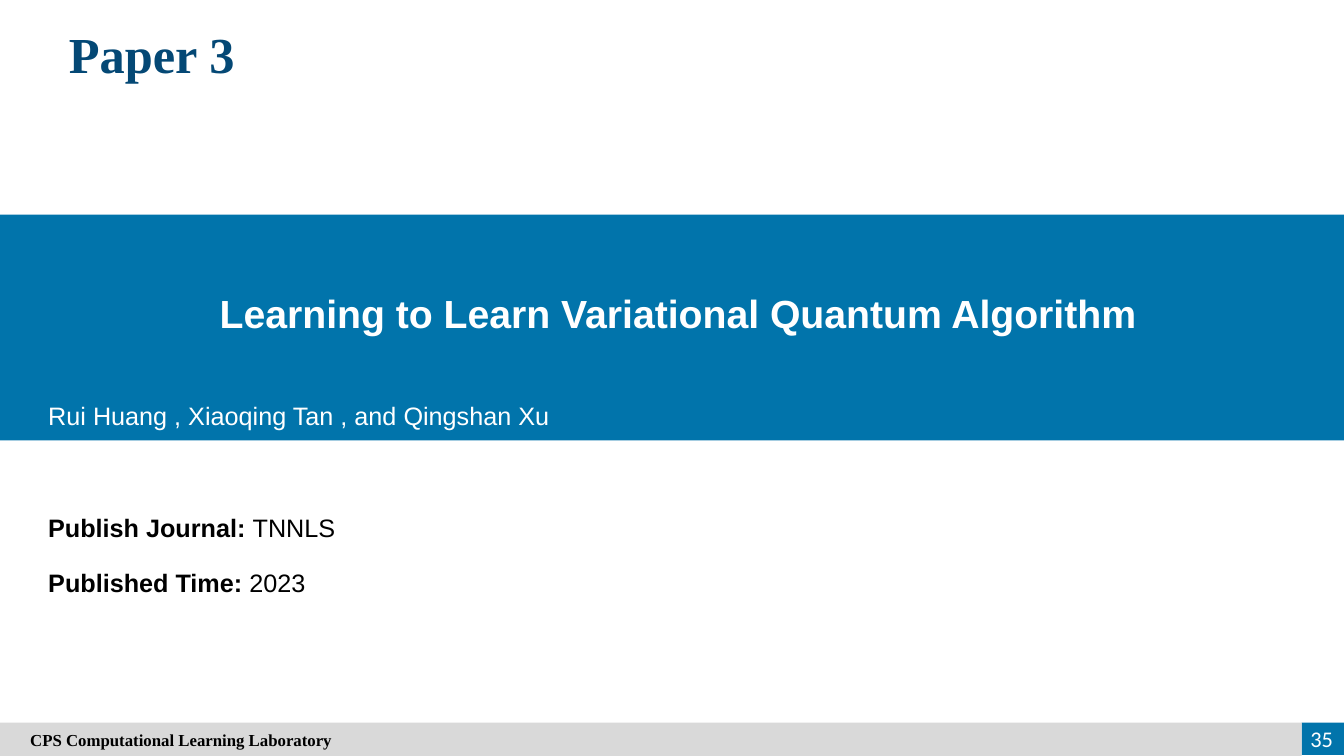
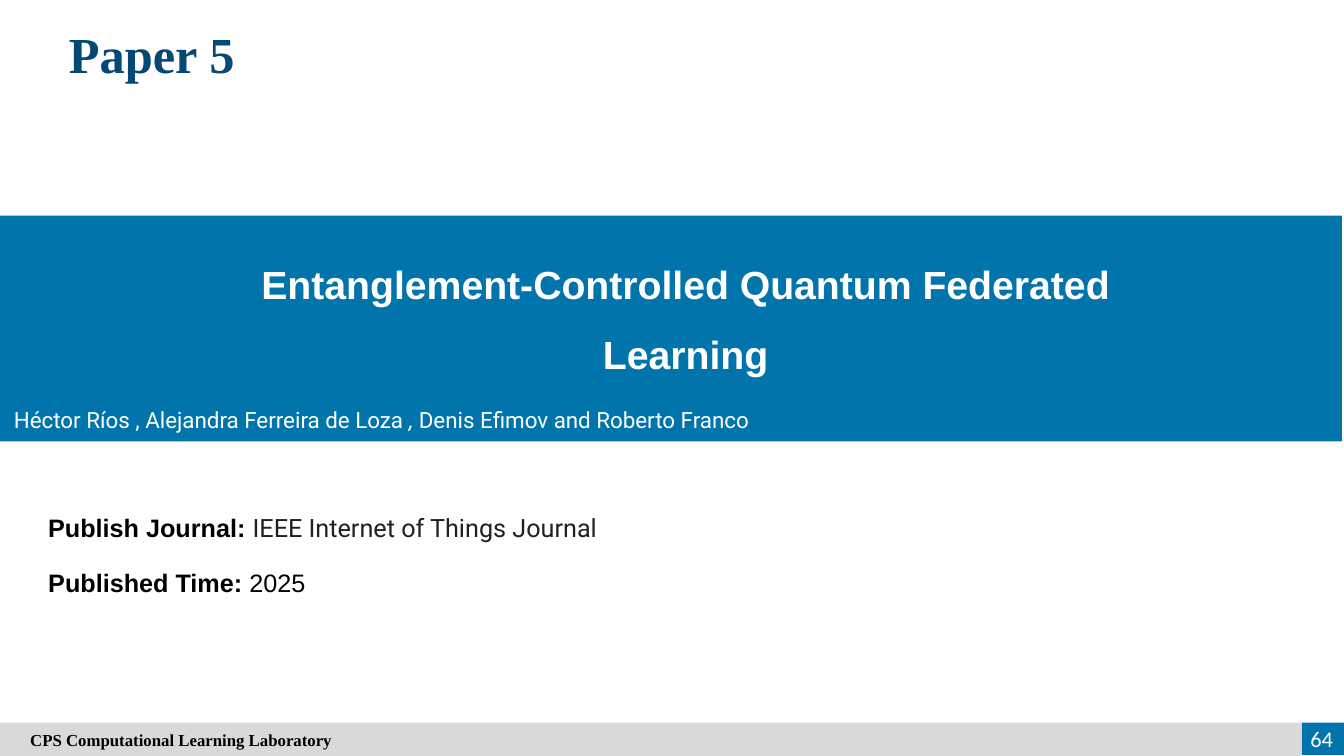
"""Build two paper title slides with a shared banner, heading and footer."""

from dataclasses import dataclass
from typing import Optional

import pptx
import pptx.dml.color
import pptx.enum.shapes
import pptx.enum.text
import pptx.util

Inches = pptx.util.Inches
Align = pptx.enum.text.PP_ALIGN
Anchor = pptx.enum.text.MSO_ANCHOR

BLUE, NAVY, GREY = "0174AB", "044875", "D9D9D9"
WHITE, BLACK, INK = "FFFFFF", "000000", "231F20"


@dataclass(frozen=True)
class Box:
    left: float
    top: float
    width: float
    height: float


@dataclass(frozen=True)
class Style:
    size: int
    font: str = "Arial"
    color: str = BLACK
    bold: bool = False
    italic: Optional[bool] = None


@dataclass(frozen=True)
class Span:
    text: str
    style: Style


@dataclass(frozen=True)
class Paper:
    heading: str
    page: str
    banner: Box
    title_box: Box
    title: list[str]
    authors_box: Box
    authors: list[Span]
    journal: Span
    year: str


HEADING = Style(36, "Times New Roman", NAVY, bold=True)
TITLE = Style(28, color=WHITE, bold=True)
FOOTER = Style(12, "Times New Roman", bold=True)
PAGE = Style(16, "Calibri", WHITE)
LABEL = Style(18, bold=True)
VALUE = Style(18)
AUTHOR = Style(18, color=WHITE)
AUTHOR_ROBOTO = Style(16, "Roboto", WHITE)
AUTHOR_ITALIC = Style(16, "Roboto", WHITE, italic=True)

PAPERS = [
    Paper(
        heading="Paper 3",
        page="35",
        banner=Box(-0.02, 2.13, 13.39, 2.24),
        title_box=Box(0.31, 2.63, 12.83, 0.72),
        title=["Learning to Learn Variational Quantum Algorithm"],
        authors_box=Box(0.38, 3.92, 6.69, 0.4),
        authors=[Span("Rui Huang , Xiaoqing Tan , and Qingshan Xu", AUTHOR)],
        journal=Span("TNNLS", VALUE),
        year="2023",
    ),
    Paper(
        heading="Paper 5",
        page="64",
        banner=Box(0, 2.14, 13.31, 2.24),
        title_box=Box(0.81, 2.33, 11.98, 1.43),
        title=["Entanglement-Controlled Quantum Federated", "Learning"],
        authors_box=Box(0.04, 3.98, 9.33, 0.37),
        authors=[
            Span("Héctor Ríos , Alejandra Ferreira de Loza ", AUTHOR_ROBOTO),
            Span(", ", AUTHOR_ITALIC),
            Span("Denis Efimov and Roberto Franco", AUTHOR_ROBOTO),
        ],
        journal=Span("IEEE Internet of Things Journal", Style(18, "Roboto", INK)),
        year="2025",
    ),
]


def rgb(color: str) -> pptx.dml.color.RGBColor:
    return pptx.dml.color.RGBColor.from_string(color)


def place(box: Box) -> list[int]:
    return [Inches(length) for length in (box.left, box.top, box.width, box.height)]


def write(text_frame, lines: list[list[Span]], align=Align.LEFT, anchor=Anchor.TOP,
          spacing: float = 1.0) -> None:
    text_frame.word_wrap = True
    text_frame.vertical_anchor = anchor
    for index, spans in enumerate(lines):
        paragraph = text_frame.add_paragraph() if index else text_frame.paragraphs[0]
        paragraph.alignment = align
        paragraph.line_spacing = spacing
        for span in spans:
            run = paragraph.add_run()
            run.text = span.text
            run.font.size = pptx.util.Pt(span.style.size)
            run.font.name = span.style.font
            run.font.bold = span.style.bold
            run.font.italic = span.style.italic
            run.font.color.rgb = rgb(span.style.color)


def add_text(slide, box: Box, lines: list[list[Span]], **layout) -> None:
    write(slide.shapes.add_textbox(*place(box)).text_frame, lines, **layout)


def add_band(slide, box: Box, color: str):
    shape = slide.shapes.add_shape(pptx.enum.shapes.MSO_SHAPE.RECTANGLE, *place(box))
    shape.shadow.inherit = False
    shape.fill.solid()
    shape.fill.fore_color.rgb = rgb(color)
    shape.line.fill.background()
    return shape


def add_footer(slide, page: str) -> None:
    add_band(slide, Box(12.91, 7.17, 0.42, 0.32), BLUE)
    text_frame = add_band(slide, Box(0, 7.17, 12.91, 0.33), GREY).text_frame
    text_frame.margin_left = Inches(0.3)
    write(text_frame, [[Span("CPS Computational Learning Laboratory", FOOTER)]],
          anchor=Anchor.MIDDLE)
    add_text(slide, Box(12.69, 7.13, 0.63, 0.4), [[Span(page, PAGE)]],
             align=Align.RIGHT, anchor=Anchor.MIDDLE)


def add_paper(presentation, paper: Paper) -> None:
    slide = presentation.slides.add_slide(presentation.slide_layouts[6])
    add_band(slide, paper.banner, BLUE)
    add_text(slide, paper.title_box, [[Span(line, TITLE)] for line in paper.title],
             align=Align.CENTER, anchor=Anchor.MIDDLE, spacing=1.5)
    add_text(slide, Box(0.38, 0.18, 2.25, 0.71), [[Span(paper.heading, HEADING)]],
             align=Align.CENTER)
    add_footer(slide, paper.page)
    add_text(slide, paper.authors_box, [paper.authors])
    add_text(slide, Box(0.38, 5.03, 9.57, 0.4),
             [[Span("Publish Journal: ", LABEL), paper.journal]])
    add_text(slide, Box(0.38, 5.58, 6.38, 0.4),
             [[Span("Published Time:", LABEL), Span(f" {paper.year}", VALUE)]])


def main() -> None:
    presentation = pptx.Presentation()
    presentation.slide_width = Inches(13.33)
    presentation.slide_height = Inches(7.5)
    for paper in PAPERS:
        add_paper(presentation, paper)
    presentation.save("out.pptx")


if __name__ == "__main__":
    main()
